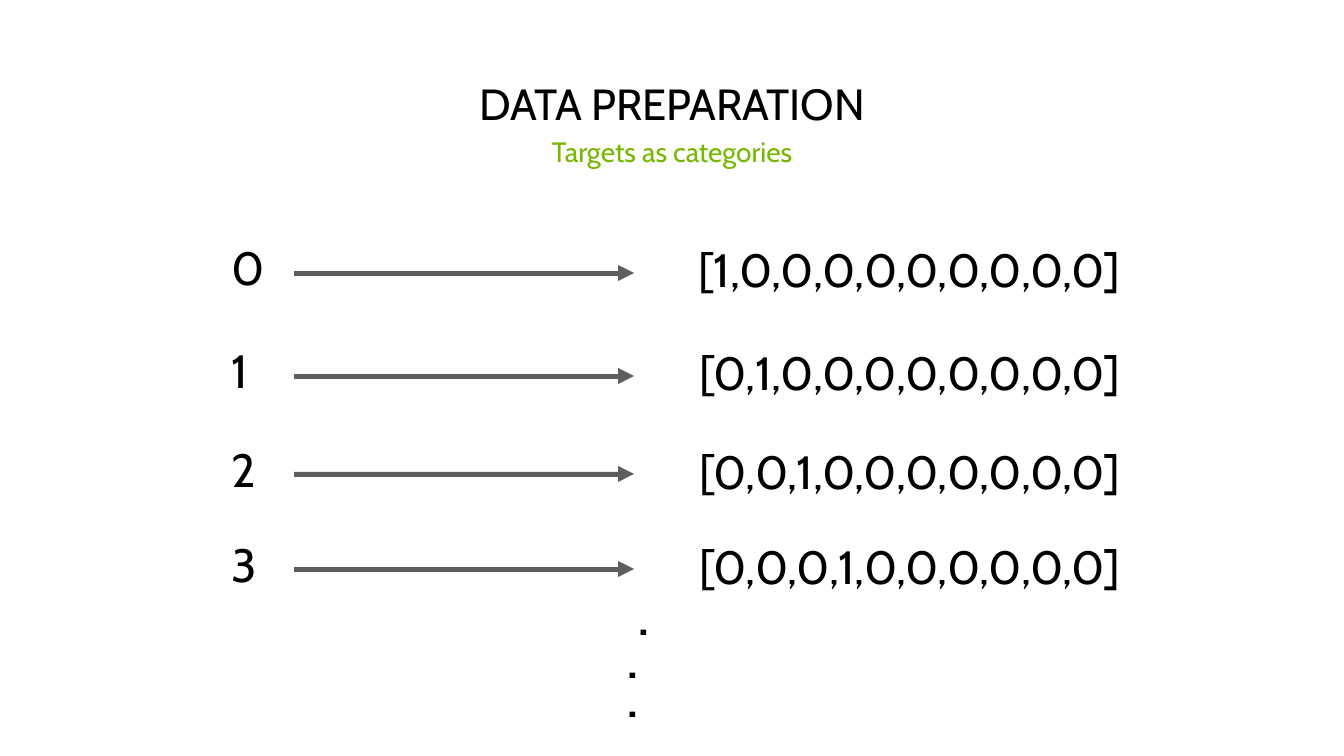
from dataclasses import dataclass

from pptx import Presentation
from pptx.dml.color import RGBColor
from pptx.enum.text import MSO_ANCHOR, MSO_AUTO_SIZE, PP_ALIGN
from pptx.util import Pt

EMU_PER_PX = 914400 / 112
LEFT, CENTER, RIGHT = PP_ALIGN.LEFT, PP_ALIGN.CENTER, PP_ALIGN.RIGHT
TOP = MSO_ANCHOR.TOP
GROW = MSO_AUTO_SIZE.SHAPE_TO_FIT_TEXT
TITLE_ONLY = 5
CATEGORY_COUNT = 10


@dataclass(frozen=True)
class Theme:
    font: str = "Cabin"
    ink: str = "000000"
    accent: str = "76B800"
    arrow: str = "5E5E5E"
    title: int = 28
    subtitle: int = 18
    body: int = 30
    dot: int = 40
    tracking: float = -0.05


@dataclass(frozen=True)
class Row:
    height: int
    arrow_y: int
    digit_inset: int = 0
    digit_before: float = 0
    digit_line: float | None = None
    vector_inset: int = 0
    vector_before: float = 0
    vector_line: float | None = None


ROWS = [
    Row(80, 273, digit_line=34.2, vector_line=35.5),
    Row(101, 376, 20, 13.1, None, 22, 14.4),
    Row(96, 474, 18, 11.7, None, 20, 12.9),
    Row(131, 569, 17, 10.8, None, 19, 12.1),
]


def px(length):
    return round(length * EMU_PER_PX)


def write(para, text, *, theme, size, color=None, align=LEFT, before=0,
          line=None, indent=0, right_indent=0, tracking=0):
    para.alignment = align
    para.space_before = Pt(before)
    if line:
        para.line_spacing = Pt(line)
    properties = para._p.get_or_add_pPr()
    properties.set("marL", str(px(indent)))
    properties.set("marR", str(px(right_indent)))
    properties.set("indent", "0")
    span = para.add_run()
    span.text = text
    span.font.name = theme.font
    span.font.size = Pt(size)
    span.font.color.rgb = RGBColor.from_string(color or theme.ink)
    span._r.get_or_add_rPr().set("spc", str(round(tracking * 100)))


def set_insets(holder, top):
    holder.margin_left = holder.margin_right = holder.margin_bottom = 0
    holder.margin_top = px(top)
    holder.vertical_anchor = TOP


class Page:
    def __init__(self, slide, theme):
        self.slide = slide
        self.theme = theme

    def heading(self, title, subtitle, left, top, width, height):
        box = self.slide.shapes.title
        box.left, box.top, box.width, box.height = map(px, (left, top, width, height))
        frame = box.text_frame
        set_insets(frame, 10)
        frame.word_wrap = True
        frame.auto_size = GROW
        write(frame.paragraphs[0], title, theme=self.theme, size=self.theme.title,
              align=CENTER, before=6.5, tracking=self.theme.tracking)
        write(frame.add_paragraph(), subtitle, theme=self.theme,
              size=self.theme.subtitle, color=self.theme.accent,
              align=CENTER, before=3.5, tracking=self.theme.tracking)

    def table(self, left, top, columns, heights):
        table = self.slide.shapes.add_table(
            len(heights), len(columns), px(left), px(top),
            px(sum(columns)), px(sum(heights))).table
        table.first_row = table.horz_banding = False
        for column, width in zip(table.columns, columns):
            column.width = px(width)
        for row, height in zip(table.rows, heights):
            row.height = px(height)
        for cell in table.iter_cells():
            cell.fill.background()
            set_insets(cell, 0)
        return table

    def cell(self, cell, text, inset, **style):
        set_insets(cell, inset)
        write(cell.text_frame.paragraphs[0], text, theme=self.theme, **style)

    def arrow(self, left, right, y):
        neck = right - 16
        shaft_top, shaft_bottom = y - 2, y + 3
        builder = self.slide.shapes.build_freeform(left, shaft_top, scale=EMU_PER_PX)
        builder.add_line_segments([
            (neck, shaft_top), (neck, y - 8), (right, y), (neck, y + 8),
            (neck, shaft_bottom), (left, shaft_bottom),
        ], close=True)
        arrow = builder.convert_to_shape()
        arrow.shadow.inherit = False
        arrow.fill.solid()
        arrow.fill.fore_color.rgb = RGBColor.from_string(self.theme.arrow)
        arrow.line.fill.background()

    def dot(self, left, top, width, height):
        box = self.slide.shapes.add_textbox(*map(px, (left, top, width, height)))
        frame = box.text_frame
        set_insets(frame, 1)
        frame.word_wrap = True
        frame.auto_size = GROW
        write(frame.paragraphs[0], ".", theme=self.theme, size=self.theme.dot,
              before=0.9, indent=2, tracking=self.theme.tracking)


def one_hot(category):
    values = ("1" if index == category else "0" for index in range(CATEGORY_COUNT))
    return f"[{','.join(values)}]"


def main():
    deck = Presentation()
    deck.slide_width, deck.slide_height = px(1344), px(756)
    theme = Theme()
    page = Page(deck.slides.add_slide(deck.slide_layouts[TITLE_ONLY]), theme)

    page.heading("DATA PREPARATION", "Targets as categories", 478, 67, 388, 103)

    table = page.table(227, 244, [214, 226, 456], [row.height for row in ROWS])
    for category, row in enumerate(ROWS):
        page.cell(table.cell(category, 0), str(category), row.digit_inset,
                  size=theme.body, before=row.digit_before, line=row.digit_line,
                  indent=5)
        page.cell(table.cell(category, 2), one_hot(category), row.vector_inset,
                  size=theme.body, align=RIGHT, before=row.vector_before,
                  line=row.vector_line, right_indent=3, tracking=theme.tracking)
    page.cell(table.cell(len(ROWS) - 1, 1), ".", 55, size=theme.dot, align=RIGHT,
              before=35.5, line=47.9, right_indent=17, tracking=theme.tracking)

    for row in ROWS:
        page.arrow(294, 634, row.arrow_y)
    for top in (615, 654):
        page.dot(625, top, 26, 77)

    deck.save("out.pptx")


if __name__ == "__main__":
    main()
